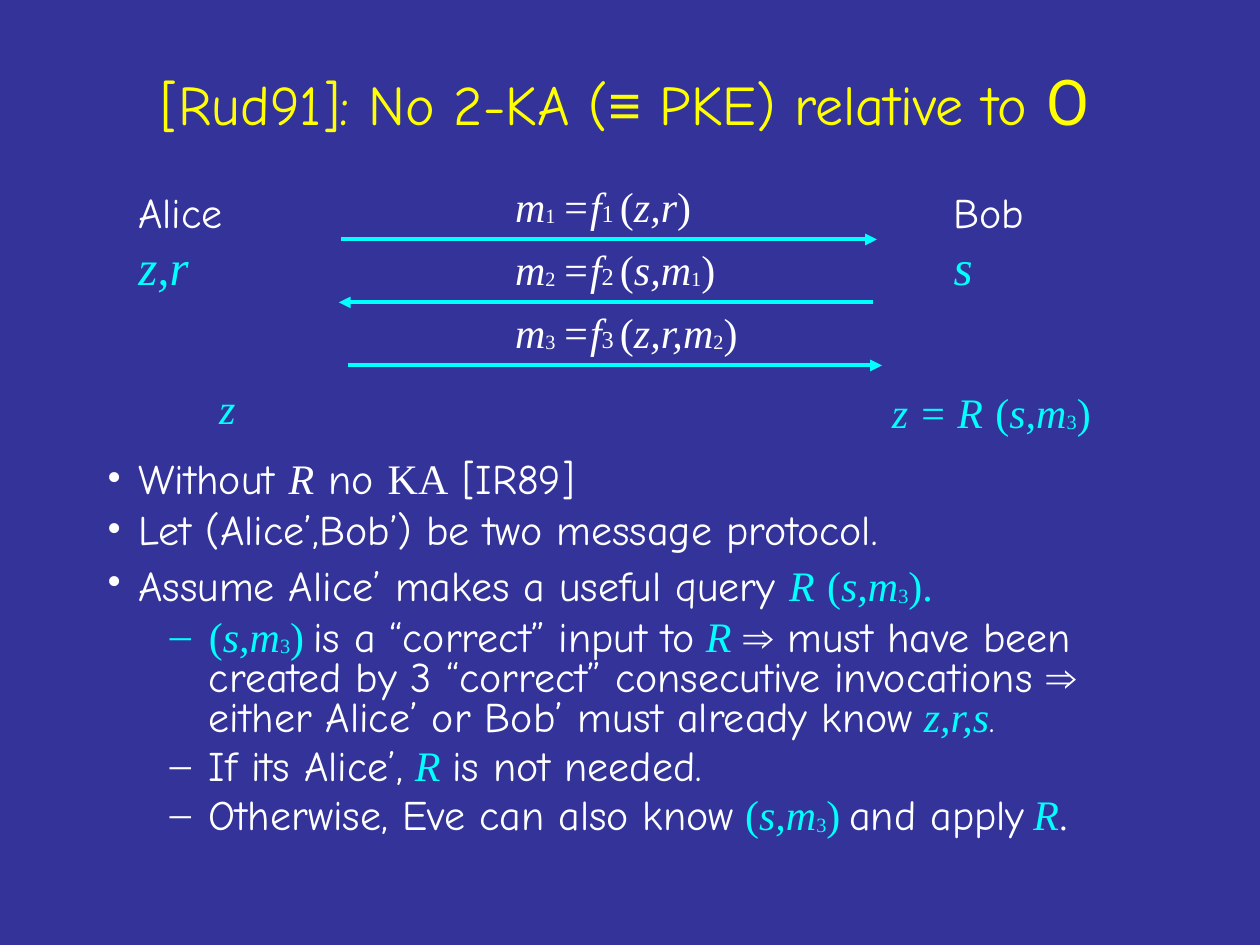
from pptx import Presentation
from pptx.dml.color import RGBColor
from pptx.enum.shapes import MSO_CONNECTOR
from pptx.enum.text import MSO_ANCHOR, PP_ALIGN
from pptx.oxml.ns import qn
from pptx.util import Inches, Pt
from lxml import etree

STRAIGHT = MSO_CONNECTOR.STRAIGHT
LEFT, CENTER = PP_ALIGN.LEFT, PP_ALIGN.CENTER
TOP, MIDDLE = MSO_ANCHOR.TOP, MSO_ANCHOR.MIDDLE

THEME = {
    "bg": "333399", "title": "FFFF00", "text": "FFFFFF", "accent": "00FFFF",
    "hand": "Comic Neue", "math": "Times New Roman", "sans": "Arial", "round": "Roboto",
    "title_size": 32, "oracle_size": 36, "big": 28, "body": 24, "small": 20, "line": 2.25,
}
STYLES = {
    "title": dict(color="title", size="title_size"),
    "title_sym": dict(color="title", size="title_size", font="sans"),
    "oracle": dict(color="title", size="oracle_size", font="round"),
    "hand": dict(),
    "gap": dict(size="small"),
    "sym": dict(font="sans"),
    "roman": dict(font="math"),
    "ital": dict(font="math", italic=True),
    "sub": dict(font="math", size="small", base=-4),
    "index": dict(font="math", base=-1),
    "dot": dict(font="math", size="small"),
    "key": dict(font="math", color="accent"),
    "key_ital": dict(font="math", color="accent", italic=True),
    "key_sub": dict(font="math", color="accent", size="small", base=-4),
    "key_big": dict(font="math", color="accent", size="big", italic=True),
}

COLS, ROWS = 100, 75
FIRST_ROW, ROW_STEP, ARROW_DROP = 13.8, 5, 5.2
BULLETS = [("•", 0.25, -0.25, 6), ("–", 0.81, -0.31, 5)]

QUERY = [("(", "key"), ("s,m", "key_ital"), ("3", "key_sub"), (")", "key")]

TITLE = [("[Rud91]: No 2-KA (", "title"), ("≡", "title_sym"),
         (" PKE) relative to ", "title"), ("O", "oracle")]

LABELS = [
    (74.7, 14.3, 13, 9.7, [("Bob ", "hand"), ("\n", "hand"), ("s", "key_big")]),
    (10, 14.3, 13, 9.7, [("Alice", "hand"), ("\n", "hand"), ("z,r", "key_big")]),
    (69.8, 29.6, 22.3, 5.7, [("z = R", "key_ital"), (" ", "key_big")] + QUERY),
    (16.4, 29.9, 5.7, 5, [("z", "key_ital")]),
]

MESSAGES = [
    ("1", [("z,r", "ital")], 27.1, 69.6),
    ("2", [("s,m", "ital"), ("1", "sub")], 69.3, 26.9),
    ("3", [("z,r,m", "ital"), ("2", "sub")], 27.6, 70),
]

BODY = [
    (0, "text", [("Without ", "hand"), ("R", "ital"), (" no ", "hand"),
                 ("KA", "roman"), (" [IR89]", "hand")]),
    (0, "text", [("Let (Alice’,Bob’) be two message protocol.", "hand")]),
    (0, "text", [("Assume Alice’ makes a useful query ", "hand"), ("R", "key_ital"),
                 (" ", "key_big")] + QUERY + [(".", "key")]),
    (1, "accent", QUERY + [
        (" ", "dot"), ("is a “correct” input to", "hand"), (" ", "gap"),
        ("R", "key_ital"), (" ", "gap"), ("⇒", "sym"),
        (" must have been created by 3 “correct” consecutive invocations ", "hand"),
        ("⇒", "sym"), (" either Alice’ or Bob’ must already know", "hand"),
        (" ", "gap"), ("z,r,s", "key_ital"), (".", "gap")]),
    (1, "text", [("If its Alice’,", "hand"), (" ", "gap"), ("R", "key_ital"),
                 (" ", "gap"), ("is not needed.", "hand")]),
    (1, "text", [("Otherwise, Eve can also know", "hand"), (" ", "gap")] + QUERY + [
        (" ", "dot"), ("and apply", "hand"), (" ", "dot"),
        ("R", "key_ital"), (".", "dot")]),
]

prs = Presentation()
prs.slide_width, prs.slide_height = Inches(10), Inches(7.5)
slide = prs.slides.add_slide(prs.slide_layouts[6])
slide.background.fill.solid()
slide.background.fill.fore_color.rgb = RGBColor.from_string(THEME["bg"])


def x(col):
    return int(prs.slide_width * col / COLS)


def y(row):
    return int(prs.slide_height * row / ROWS)


def add_run(p, text, font="hand", color="text", size="body", italic=False, base=0):
    if text == "\n":
        p.add_line_break()
        return
    r = p.add_run()
    r.text = text
    r.font.name = THEME[font]
    r.font.size = Pt(THEME[size])
    r.font.italic = italic
    r.font.color.rgb = RGBColor.from_string(THEME[color])
    if base:
        r.font._element.set("baseline", str(base * 1000))


def fill_paragraph(p, runs):
    for text, style in runs:
        add_run(p, text, **STYLES[style])


def add_box(col, row, cols, rows, wrap=True, anchor=TOP):
    tf = slide.shapes.add_textbox(x(col), y(row), x(cols), y(rows)).text_frame
    tf.word_wrap = wrap
    tf.vertical_anchor = anchor
    return tf


def set_bullet(p, level, color):
    char, margin, indent, before = BULLETS[level]
    p.level = level
    p.line_spacing = 0.8
    p.space_before = Pt(before)
    pPr = p._p.get_or_add_pPr()
    pPr.set("marL", str(Inches(margin)))
    pPr.set("indent", str(Inches(indent)))
    clr = etree.SubElement(pPr, qn("a:buClr"))
    etree.SubElement(clr, qn("a:srgbClr"), val=THEME[color])
    etree.SubElement(pPr, qn("a:buFont"), typeface=THEME["math"])
    etree.SubElement(pPr, qn("a:buChar"), char=char)


def add_arrow(start, end, row):
    line = slide.shapes.add_connector(STRAIGHT, x(start), y(row), x(end), y(row))
    line.line.width = Pt(THEME["line"])
    line.line.color.rgb = RGBColor.from_string(THEME["accent"])
    etree.SubElement(line.line._get_or_add_ln(), qn("a:tailEnd"), type="triangle")
    etree.SubElement(line._element.spPr, qn("a:effectLst"))


p = add_box(7.1, 1.7, 85, 12.5, anchor=MIDDLE).paragraphs[0]
p.alignment = CENTER
fill_paragraph(p, TITLE)

tf = add_box(7.5, 36.2, 85, 35.8)
for i, (level, color, runs) in enumerate(BODY):
    p = tf.add_paragraph() if i else tf.paragraphs[0]
    p.alignment = LEFT
    set_bullet(p, level, color)
    fill_paragraph(p, runs)

for col, row, cols, rows, runs in LABELS:
    fill_paragraph(add_box(col, row, cols, rows).paragraphs[0], runs)

for i, (number, args, start, end) in enumerate(MESSAGES):
    row = FIRST_ROW + i * ROW_STEP
    runs = [("m", "ital"), (number, "sub"), (" ", "index"), ("=f", "ital"),
            (number + " ", "index"), ("(", "roman")] + args + [(")", "roman")]
    fill_paragraph(add_box(39.9, row, 20, 5, wrap=False).paragraphs[0], runs)
    add_arrow(start, end, row + ARROW_DROP)

prs.save("out.pptx")
